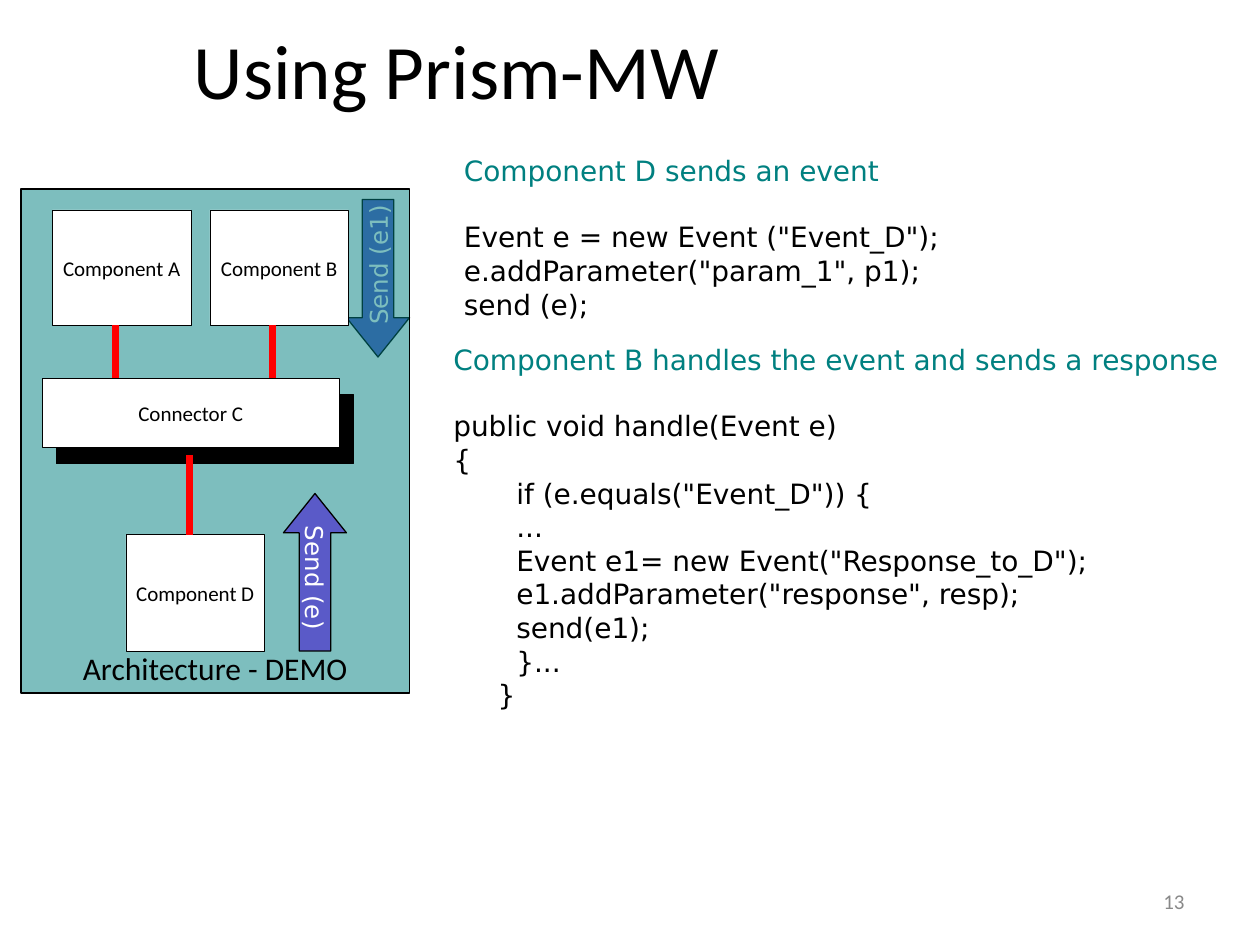
import pptx
import pptx.util
import pptx.dml.color
import pptx.enum.shapes
import pptx.enum.text
import pptx.oxml
import pptx.oxml.ns
import pptx.oxml.xmlchemy

Pt = pptx.util.Pt
Color = pptx.dml.color.RGBColor.from_string
Shapes = pptx.enum.shapes.MSO_SHAPE
Align = pptx.enum.text.PP_ALIGN
Anchor = pptx.enum.text.MSO_ANCHOR

theme = {
    "black": "000000", "white": "FFFFFF", "teal": "008080",
    "purple": "5A5AC8", "red": "FF0000", "code_gap": 19,
    "title": {"name": "Calibri", "size": Pt(44)},
    "caption": {"name": "Calibri", "size": Pt(18)},
    "label": {"name": "Calibri", "size": Pt(12)},
    "code": {"name": "DejaVu Sans", "size": Pt(16)},
    "arrow": {"name": "DejaVu Sans", "size": Pt(14)},
    "number": "898989",
}


def write(shape, lines, style, color, align, frame_format):
    """Fill a shape with one paragraph per line and return the paragraphs."""
    frame = shape.text_frame
    for name, value in frame_format.items():
        setattr(frame, name, value)
    for index, line in enumerate(lines):
        paragraph = frame.paragraphs[0] if index == 0 else frame.add_paragraph()
        paragraph.alignment = align
        run = paragraph.add_run()
        run.text = line
        for name, value in theme[style].items():
            setattr(run.font, name, value)
        run.font.color.rgb = Color(color)
    return frame.paragraphs


def add_block(kind, bounds, fill, line_width):
    """Add a filled preset shape with a black outline."""
    shape = slide.shapes.add_shape(kind, *map(Pt, bounds))
    shape.shadow.inherit = False
    shape.fill.solid()
    shape.fill.fore_color.rgb = Color(fill)
    shape.line.color.rgb = Color(theme["black"])
    shape.line.width = Pt(line_width)
    return shape


presentation = pptx.Presentation()
presentation.slide_width, presentation.slide_height = Pt(720), Pt(540)
slide = presentation.slides.add_slide(presentation.slide_layouts[6])

# Title and slide number
middle = {"vertical_anchor": Anchor.MIDDLE, "word_wrap": True}
for text, bounds, style, color, align in [
    ("Using Prism-MW", (60, 6, 402, 66), "title", theme["black"], Align.CENTER),
    ("13", (516, 500.4, 168, 28.8), "label", theme["number"], Align.RIGHT),
]:
    box = slide.shapes.add_textbox(*map(Pt, bounds))
    write(box, [text], style, color, align, middle)

# Event arrows, with the response arrow behind the translucent frame
arrow_format = {
    "vertical_anchor": Anchor.MIDDLE, "word_wrap": False,
    "margin_left": Pt(3.6), "margin_right": Pt(3.6),
    "margin_top": Pt(7.2), "margin_bottom": Pt(7.2),
}
for text, left, top, rotation in [("Send (e1)", 198, 114, 180), ("Send (e)", 162, 282, 0)]:
    arrow = add_block(Shapes.UP_ARROW, (left, top, 36, 90), theme["purple"], 0.75)
    arrow.adjustments[0], arrow.adjustments[1] = 0.5, 0.625
    arrow.rotation = rotation
    write(arrow, [text], "arrow", theme["white"], Align.CENTER, arrow_format)
    arrow.text_frame._txBody.bodyPr.set("vert", "eaVert")
    if rotation:
        # Architecture frame
        frame = add_block(Shapes.RECTANGLE, (12, 108, 222, 288), theme["teal"], 0.75)
        frame_color = frame.fill._xPr.find(".//" + pptx.oxml.ns.qn("a:srgbClr"))
        alpha = pptx.oxml.parse_xml(
            "<a:alpha %s val='51000'/>" % pptx.oxml.ns.nsdecls("a"))
        frame_color.append(alpha)
        write(frame, ["Architecture - DEMO"], "caption", theme["black"], Align.CENTER,
              {"vertical_anchor": Anchor.BOTTOM, "word_wrap": False})

# Components and connector box with its offset shadow
add_block(Shapes.RECTANGLE, (32, 225.4, 170, 39.6), theme["black"], 0.25)
for text, bounds in [
    ("Component A", (30, 120, 79.2, 66)),
    ("Component B", (120, 120, 79.2, 66)),
    ("Component D", (72, 305.5, 79.2, 66.5)),
    ("Connector C", (24, 216, 170, 39.6)),
]:
    block = add_block(Shapes.RECTANGLE, bounds, theme["white"], 0.25)
    write(block, [text], "label", theme["black"], Align.CENTER,
          {"vertical_anchor": Anchor.MIDDLE, "word_wrap": False})

# Links between the components and the connector box
for x, top, bottom in [(66, 186, 216), (156, 186, 216), (108.5, 260, 305.5)]:
    link = slide.shapes.add_connector(
        pptx.enum.shapes.MSO_CONNECTOR.STRAIGHT, Pt(x), Pt(top), Pt(x), Pt(bottom))
    link.line.color.rgb = Color(theme["red"])
    link.line.width = Pt(4)
    link._element.spPr.append(
        pptx.oxml.parse_xml("<a:effectLst %s/>" % pptx.oxml.ns.nsdecls("a")))

# Code samples, each under a teal heading
for bounds, lines in [
    ((258, 84, 456, 104), [
        "Component D sends an event",
        'Event e = new Event ("Event_D");',
        'e.addParameter("param_1", p1);',
        "send (e);",
    ]),
    ((252, 192, 504, 244), [
        "Component B handles the event and sends a response",
        "public void handle(Event e)",
        "{",
        '\tif (e.equals("Event_D")) {',
        "\t...",
        '\tEvent e1= new Event("Response_to_D");',
        '\te1.addParameter("response", resp);',
        "\tsend(e1);",
        "\t}...",
        "     }",
    ]),
]:
    box = slide.shapes.add_textbox(*map(Pt, bounds))
    paragraphs = write(box, lines, "code", theme["black"], Align.LEFT, {"word_wrap": True})
    paragraphs[0].runs[0].font.color.rgb = Color(theme["teal"])
    paragraphs[0].space_after = Pt(theme["code_gap"])

presentation.save("out.pptx")
